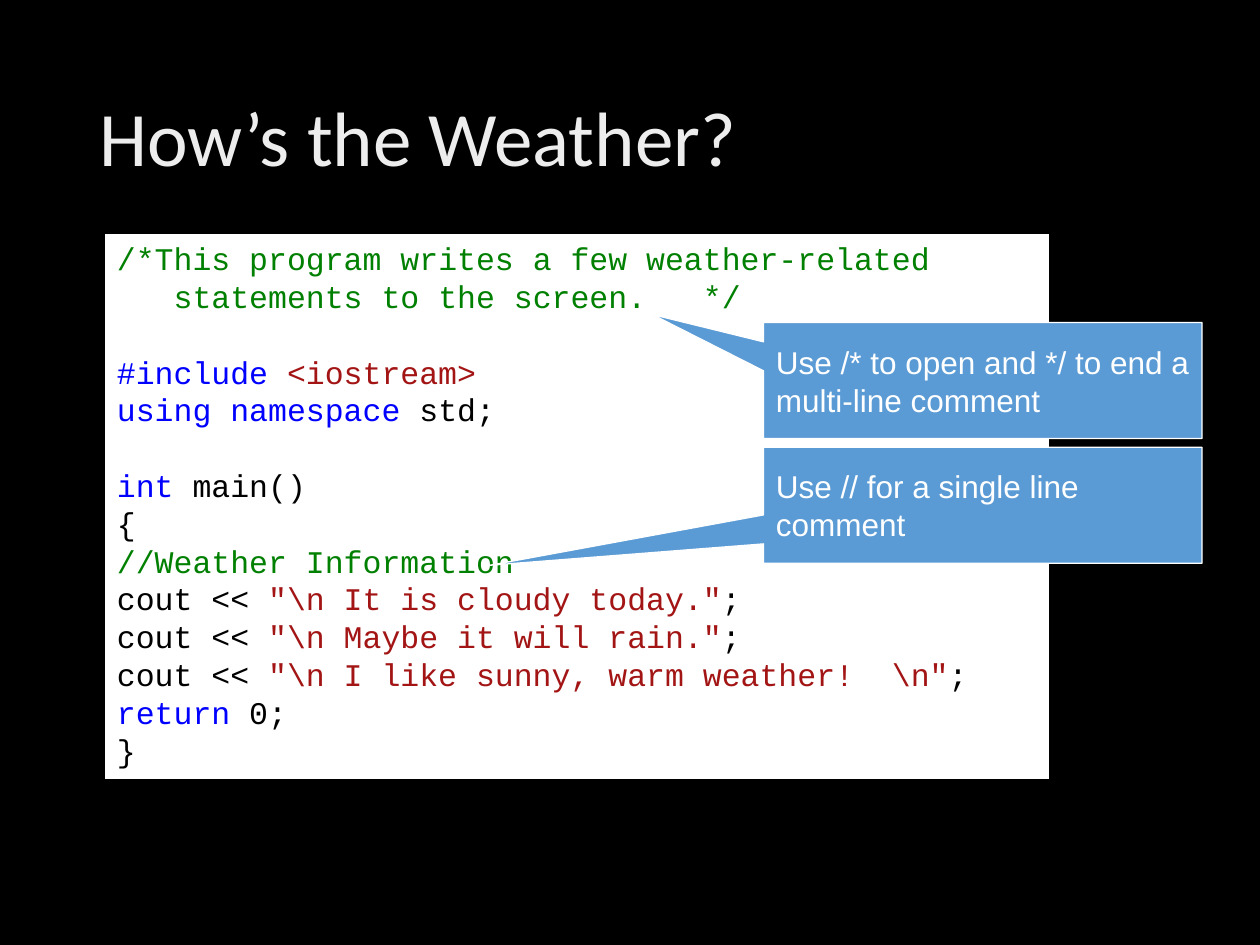
from dataclasses import dataclass

from pptx import Presentation
from pptx import util as u
from pptx.dml.color import RGBColor
from pptx.enum import shapes, text

Inches, Pt = u.Inches, u.Pt


@dataclass(frozen=True)
class Theme:
    background: str = "000000"
    title: str = "EDEDED"
    panel: str = "FFFFFF"
    callout: str = "5B9BD5"
    callout_text: str = "FFFFFF"
    plain: str = "000000"
    comment: str = "008000"
    keyword: str = "0000FF"
    string: str = "A31515"
    title_size: int = 44
    body_size: int = 18
    body_leading: float = 21.6


theme = Theme()


def write(paragraph, content, *, font, size, color, spacing, before=0):
    """Add one formatted run and set the paragraph's spacing."""
    run = paragraph.add_run()
    run.text = content
    run.font.name = font
    run.font.size = Pt(size)
    run.font.color.rgb = RGBColor.from_string(color)
    paragraph.alignment = text.PP_ALIGN.LEFT
    paragraph.line_spacing = spacing
    paragraph.space_before = Pt(before)


def add_box(kind, left, top, width, height, fill, line, line_width, anchor):
    """Add a filled, outlined shape without a shadow."""
    shape = slide.shapes.add_shape(
        kind, Inches(left), Inches(top), Inches(width), Inches(height))
    shape.shadow.inherit = False
    shape.fill.solid()
    shape.fill.fore_color.rgb = RGBColor.from_string(fill)
    shape.line.color.rgb = RGBColor.from_string(line)
    shape.line.width = Pt(line_width)
    shape.text_frame.word_wrap = True
    shape.text_frame.vertical_anchor = anchor
    return shape


presentation = Presentation()
presentation.slide_width = Inches(10)
presentation.slide_height = Inches(7.5)
slide = presentation.slides.add_slide(presentation.slide_layouts[6])
slide.background.fill.solid()
slide.background.fill.fore_color.rgb = RGBColor.from_string(theme.background)

# Code panel: each line is (starts a new section, coloured pieces)
plain, comment, keyword, string = (
    theme.plain, theme.comment, theme.keyword, theme.string)
messages = [r'"\n It is cloudy today."',
            r'"\n Maybe it will rain."',
            r'"\n I like sunny, warm weather!  \n"']
code_lines = [
    (False, [("/*This program writes a few weather-related", comment)]),
    (False, [("   statements to the screen.   */", comment)]),
    (True, [("#include", keyword), (" ", plain), ("<iostream>", string)]),
    (False, [("using", keyword), (" ", plain), ("namespace", keyword),
             (" std;", plain)]),
    (True, [("int", keyword), (" main()", plain)]),
    (False, [("{", plain)]),
    (False, [("//Weather Information", comment)]),
    *[(False, [("cout << ", plain), (message, string), (";", plain)])
      for message in messages],
    (False, [("return", keyword), (" 0;", plain)]),
    (False, [("}", plain)]),
]
code_panel = add_box(shapes.MSO_SHAPE.RECTANGLE, 0.83, 1.85, 7.5, 4.34,
                     theme.panel, theme.background, 1, text.MSO_ANCHOR.TOP)
code_frame = code_panel.text_frame
for index, (new_section, pieces) in enumerate(code_lines):
    paragraph = code_frame.add_paragraph() if index else code_frame.paragraphs[0]
    for content, color in pieces:
        write(paragraph, content, font="Courier New", size=theme.body_size,
              color=color, spacing=Pt(theme.body_leading),
              before=theme.body_leading if new_section else 0)

# Title
title = slide.shapes.add_textbox(
    Inches(0.69), Inches(0.4), Inches(8.62), Inches(1.45))
title.text_frame.word_wrap = True
title.text_frame.vertical_anchor = text.MSO_ANCHOR.MIDDLE
write(title.text_frame.paragraphs[0], "How’s the Weather?", font="Calibri",
      size=theme.title_size, color=theme.title, spacing=0.9)

# Callouts: top, pointer offsets, note
callouts = [
    (2.56, (-0.754, -0.57), "Use /* to open and */ to end a multi-line comment"),
    (3.55, (-1.125, 0.518), "Use // for a single line comment"),
]
for top, pointer, note in callouts:
    callout = add_box(shapes.MSO_SHAPE.RECTANGULAR_CALLOUT, 6.06, top, 3.48, 0.92,
                      theme.callout, theme.callout_text, 0.75,
                      text.MSO_ANCHOR.MIDDLE)
    for index, offset in enumerate(pointer):
        callout.adjustments[index] = offset
    write(callout.text_frame.paragraphs[0], note, font="Arial",
          size=theme.body_size, color=theme.callout_text,
          spacing=Pt(theme.body_leading))

presentation.save("out.pptx")
